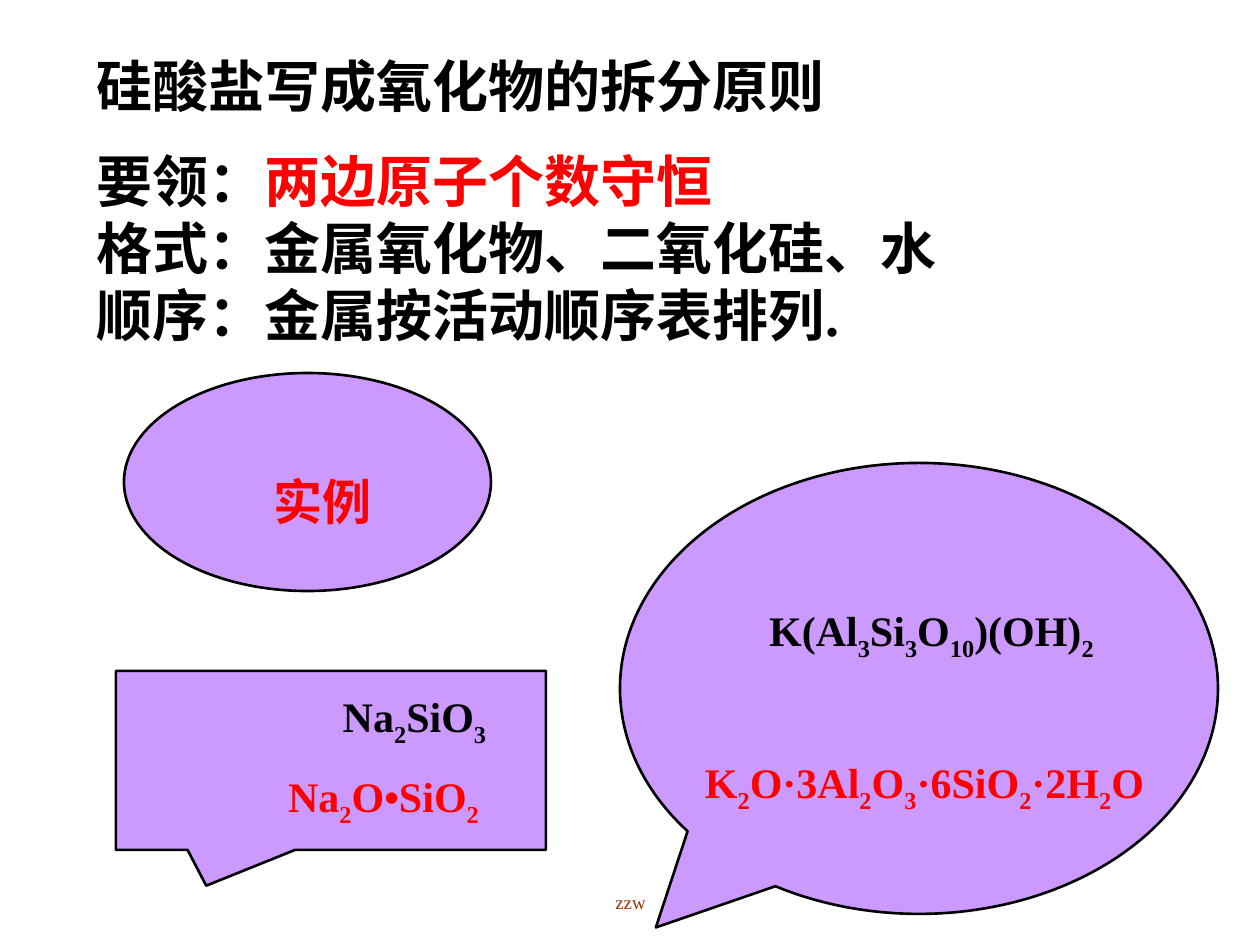
from dataclasses import dataclass

from pptx import Presentation
from pptx.dml.color import RGBColor
from pptx.enum.shapes import MSO_SHAPE
from pptx.enum.text import MSO_ANCHOR, PP_ALIGN
from pptx.util import Emu, Pt

PX = 914400 // 126


@dataclass(frozen=True)
class Theme:
    font: str = "Times New Roman"
    ink: RGBColor = RGBColor(0, 0, 0)
    accent: RGBColor = RGBColor(0xFF, 0, 0)
    bubble: RGBColor = RGBColor(0xCC, 0x99, 0xFF)
    footer: RGBColor = RGBColor(0x99, 0x33, 0)
    heading_size: float = 32
    label_size: float = 28
    formula_size: float = 24
    footer_size: float = 10.8
    outline: float = 1.5


theme = Theme()
presentation = Presentation()
presentation.slide_width = Emu(1260 * PX)
presentation.slide_height = Emu(945 * PX)
slide = presentation.slides.add_slide(presentation.slide_layouts[6])


def add_text(bounds, lines, size, color, bold=True, align=PP_ALIGN.CENTER):
    """Add one paragraph per line; every second part between bars is a subscript."""
    box = slide.shapes.add_textbox(*(Emu(length * PX) for length in bounds))
    frame = box.text_frame
    frame.word_wrap = True
    frame.vertical_anchor = MSO_ANCHOR.MIDDLE
    for index, line in enumerate(lines):
        paragraph = frame.paragraphs[0] if index == 0 else frame.add_paragraph()
        paragraph.alignment = align
        paragraph.font.name = theme.font
        paragraph.font.size = Pt(size)
        paragraph.font.bold = bold
        paragraph.font.color.rgb = color
        for position, part in enumerate(line.split("|")):
            if part:
                run = paragraph.add_run()
                run.text = part
                if position % 2:
                    run._r.get_or_add_rPr().set("baseline", "-25000")
    return frame


# Bubbles
bubbles = [
    (MSO_SHAPE.OVAL, (124, 373, 367, 218), ()),
    (MSO_SHAPE.RECTANGULAR_CALLOUT, (116, 671, 430, 179), (-0.29, 0.7)),
    (MSO_SHAPE.OVAL_CALLOUT, (620, 463, 598, 451), (-0.44, 0.53)),
]
for kind, bounds, pointer in bubbles:
    shape = slide.shapes.add_shape(kind, *(Emu(length * PX) for length in bounds))
    for index, value in enumerate(pointer):
        shape.adjustments[index] = value
    shape.shadow.inherit = False
    shape.fill.solid()
    shape.fill.fore_color.rgb = theme.bubble
    shape.line.color.rgb = theme.ink
    shape.line.width = Pt(theme.outline)

# Example label and formulas
add_text((253, 465, 139, 72), ["实例"], theme.label_size, theme.accent)
formulas = [
    ((320, 684, 189, 71), "Na|2|SiO|3", theme.ink),
    ((266, 764, 235, 71), "Na|2|O•SiO|2", theme.accent),
    ((679, 598, 505, 71), "K(Al|3|Si|3|O|10|)(OH)|2", theme.ink),
    ((673, 750, 503, 71), "K|2|O·3Al|2|O|3|·6SiO|2|·2H|2|O", theme.accent),
]
for bounds, formula, color in formulas:
    add_text(bounds, [formula], theme.formula_size, color)

# Title and splitting rules
add_text((84, 45, 843, 81), ["硅酸盐写成氧化物的拆分原则"],
         theme.heading_size, theme.ink, align=PP_ALIGN.LEFT)
rules = add_text((84, 140, 1012, 214),
                 ["要领：", "格式：金属氧化物、二氧化硅、水", "顺序：金属按活动顺序表排列."],
                 theme.heading_size, theme.ink, align=PP_ALIGN.LEFT)
key_point = rules.paragraphs[0].add_run()
key_point.text = "两边原子个数守恒"
key_point.font.color.rgb = theme.accent

# Footer
add_text((431, 882, 399, 40), ["zzw"], theme.footer_size, theme.footer, bold=False)

presentation.save("out.pptx")
